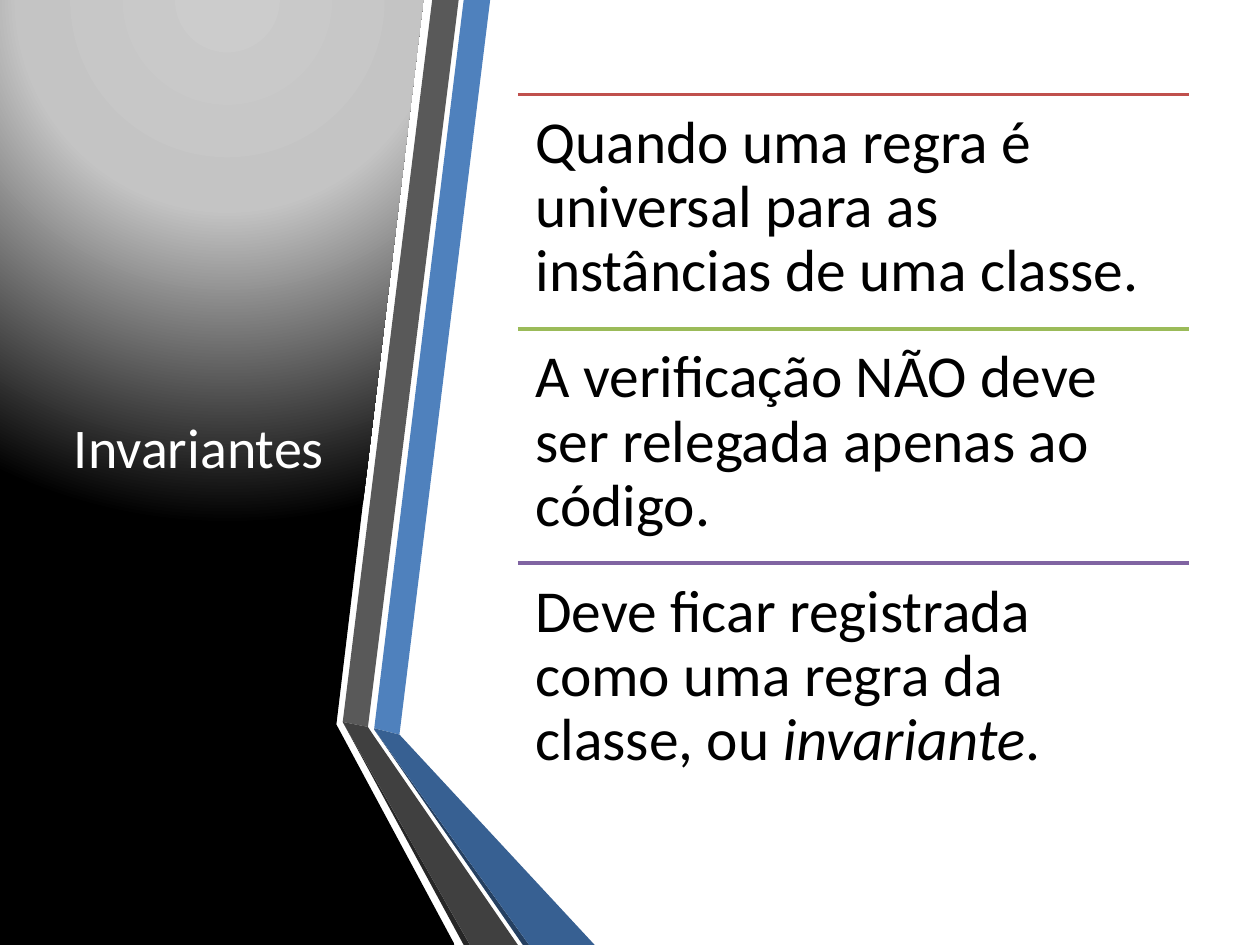
from dataclasses import dataclass

from lxml import etree
from pptx import Presentation
from pptx import util as u
from pptx.dml.color import RGBColor
from pptx.enum import shapes, text
from pptx.oxml import parse_xml
from pptx.oxml.ns import nsdecls, qn

FONT = "Calibri"
RULE_LEFT, RULE_TOP, RULE_WIDTH, ROW_HEIGHT = 4.11, 0.75, 5.33, 1.86


@dataclass
class Band:
    color: str
    points: list[tuple[float, float]]


@dataclass
class Statement:
    rule_color: str
    runs: list[tuple[str, bool]]  # wording, italic


PANEL = [(2.64, 0), (3.36, 0), (2.67, 5.75), (3.61, 7.5), (0, 7.5), (0, 0)]

BANDS = [
    Band("4F81BD", [(2.97, 5.78), (3.17, 5.83), (3.89, 0), (3.68, 0)]),
    Band("595959", [(3.64, 0), (3.43, 0), (2.72, 5.73), (2.92, 5.77)]),
    Band("262626", [(2.72, 5.73), (3.68, 7.5), (3.73, 7.5)]),
    Band("254061", [(2.97, 5.79), (4.15, 7.5), (4.2, 7.5)]),
    Band("376092", [(2.97, 5.79), (4.2, 7.5), (4.72, 7.5), (3.17, 5.83), (2.97, 5.78)]),
    Band("404040", [(4.11, 7.5), (2.96, 5.83), (2.92, 5.77), (2.72, 5.73), (3.73, 7.5)]),
]

STATEMENTS = [
    Statement("C0504D", [
        ("Quando uma regra é universal para as instâncias de uma classe.", False)]),
    Statement("9BBB59", [
        ("A verificação NÃO deve ser relegada apenas ao código.", False)]),
    Statement("8064A2", [
        ("Deve ficar registrada como uma regra da classe, ou ", False),
        ("invariante", True),
        (".", False)]),
]


def rgb(color: str) -> RGBColor:
    return RGBColor.from_string(color)


def set_font(paragraph, size: int, color: str) -> None:
    paragraph.font.name = FONT
    paragraph.font.size = u.Pt(size)
    paragraph.font.color.rgb = rgb(color)


def draw_outline(slide, points: list[tuple[float, float]]):
    corners = [(u.Inches(x), u.Inches(y)) for x, y in points]
    builder = slide.shapes.build_freeform(*corners[0])
    builder.add_line_segments(corners[1:], close=True)
    outline = builder.convert_to_shape()
    outline.shadow.inherit = False
    outline.line.fill.background()
    return outline


def draw_panel(slide) -> None:
    panel = draw_outline(slide, PANEL)
    panel.fill.background()
    stops = "".join(
        f'<a:gs pos="{position * 1000}"><a:srgbClr val="{color}"/></a:gs>'
        for position, color in [(0, "CCCCCC"), (40, "C4C4C4"), (100, "000000")])
    glow = parse_xml(
        f'<a:gradFill {nsdecls("a")}><a:gsLst>{stops}</a:gsLst>'
        '<a:path path="circle">'
        '<a:fillToRect l="50000" t="-80000" r="50000" b="180000"/>'
        '</a:path></a:gradFill>')
    properties = panel._element.spPr
    properties.replace(properties.find(qn("a:noFill")), glow)


def draw_band(slide, band: Band) -> None:
    outline = draw_outline(slide, band.points)
    outline.fill.solid()
    outline.fill.fore_color.rgb = rgb(band.color)


def draw_statement(slide, statement: Statement, top: float) -> None:
    left, width, y = u.Inches(RULE_LEFT), u.Inches(RULE_WIDTH), u.Inches(top)
    rule = slide.shapes.add_connector(
        shapes.MSO_CONNECTOR.STRAIGHT, left, y, left + width, y)
    rule.line.color.rgb = rgb(statement.rule_color)
    rule.line.width = u.Pt(2)
    etree.SubElement(rule._element.spPr, qn("a:effectLst"))

    frame = slide.shapes.add_textbox(left, y, width, u.Inches(ROW_HEIGHT)).text_frame
    frame.word_wrap = True
    frame.margin_left = frame.margin_right = u.Inches(0.14)
    frame.margin_top = frame.margin_bottom = u.Inches(0.14)
    paragraph = frame.paragraphs[0]
    paragraph.line_spacing = 0.9
    set_font(paragraph, 34, "000000")
    for wording, italic in statement.runs:
        run = paragraph.add_run()
        run.text = wording
        if italic:
            run.font.italic = True


def draw_title(slide) -> None:
    title = slide.shapes.title
    title.left, title.top = u.Inches(0.44), u.Inches(0.75)
    title.width, title.height = u.Inches(2.28), u.Inches(5.58)
    title.text_frame.text = "Invariantes"
    title.text_frame.vertical_anchor = text.MSO_ANCHOR.MIDDLE
    paragraph = title.text_frame.paragraphs[0]
    paragraph.alignment = text.PP_ALIGN.CENTER
    set_font(paragraph, 32, "FFFFFF")
    # Bring the title in front of the panel
    slide.shapes._spTree.append(title._element)


def main() -> None:
    deck = Presentation()
    deck.slide_width, deck.slide_height = u.Inches(10), u.Inches(7.5)
    slide = deck.slides.add_slide(deck.slide_layouts[5])

    # Dark panel and folded bands
    draw_panel(slide)
    for band in BANDS:
        draw_band(slide, band)

    draw_title(slide)

    # Ruled statements
    for row, statement in enumerate(STATEMENTS):
        draw_statement(slide, statement, RULE_TOP + row * ROW_HEIGHT)

    deck.save("out.pptx")


if __name__ == "__main__":
    main()
